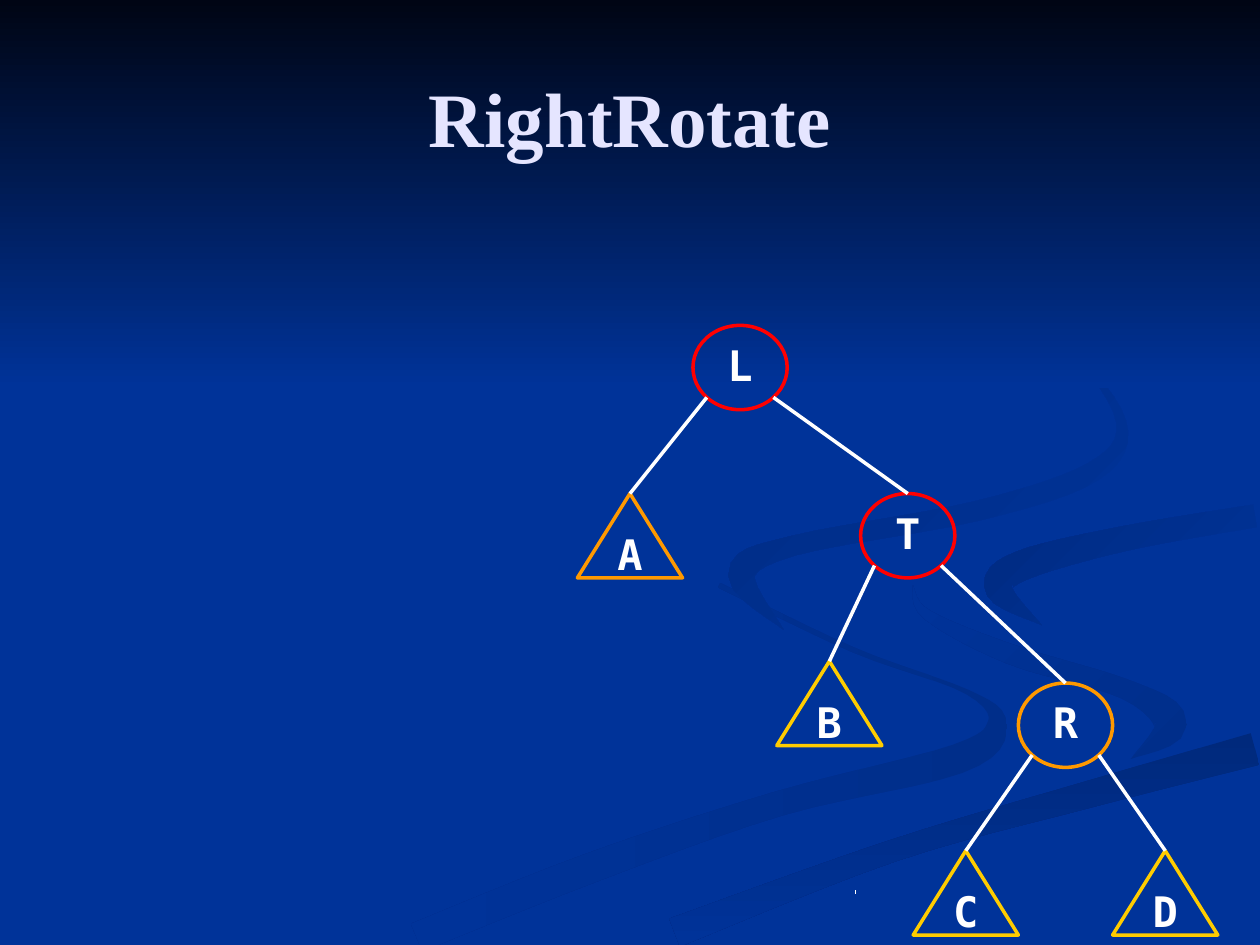
"""Builds the RightRotate slide: a binary tree on a blue background with waves."""
from dataclasses import dataclass
from math import hypot, sqrt

from lxml import etree
from pptx import Presentation
from pptx.dml.color import RGBColor
from pptx.enum.shapes import MSO_CONNECTOR, MSO_SHAPE
from pptx.enum.text import MSO_ANCHOR, PP_ALIGN
from pptx.oxml.ns import qn
from pptx.util import Cm, Pt

STRAIGHT = MSO_CONNECTOR.STRAIGHT
OVAL = MSO_SHAPE.OVAL
TRIANGLE = MSO_SHAPE.ISOSCELES_TRIANGLE
RECTANGLE = MSO_SHAPE.RECTANGLE
MIDDLE = MSO_ANCHOR.MIDDLE
CENTER = PP_ALIGN.CENTER


@dataclass(frozen=True)
class Theme:
    blue: str = "003399"
    night: str = "000514"
    shade: str = "002E8A"
    deep: str = "00297C"
    dusk: str = "002B81"
    title: str = "E5E5FF"
    white: str = "FFFFFF"
    red: str = "FF0000"
    orange: str = "FF9900"
    yellow: str = "FFCC00"
    title_font: str = "Times New Roman"
    node_font: str = "DejaVu Sans Mono"
    title_size: int = 44
    node_size: int = 24
    line_width: int = 2


theme = Theme()


def paint_gradient(sp, start, end, angle):
    sp.shadow.inherit = False
    sp.line.fill.background()
    sp.fill.gradient()
    sp.fill.gradient_angle = angle
    for stop, color, position in zip(sp.fill.gradient_stops, (start, end), (0, 1)):
        stop.color.rgb = RGBColor.from_string(color)
        stop.position = position


def add_edge(begin, end):
    line = s.shapes.add_connector(STRAIGHT, *(Cm(v) for v in begin + end))
    line.line.color.rgb = RGBColor.from_string(theme.white)
    line.line.width = Pt(theme.line_width)
    etree.SubElement(line.element.spPr, qn("a:effectLst"))
    return line


prs = Presentation()
prs.slide_width = Cm(25.4)
prs.slide_height = Cm(19.05)
s = prs.slides.add_slide(prs.slide_layouts[5])
s.background.fill.solid()
s.background.fill.fore_color.rgb = RGBColor.from_string(theme.blue)

waves = [
    (theme.shade, theme.blue, 180, [
        (8.4, 18.9, 0.3), (11.9, 17.5, 0.3), (15.7, 16.2, 0.25), (19.3, 15.3, 0.3),
        (20.1, 14.6, 0.2), (19.5, 13.95, 0.05), (17.2, 13.1, 0.05), (14.5, 11.8, 0.05)]),
    (theme.shade, theme.blue, 135, [
        (18.4, 11.8, 0), (18.7, 12.4, 0.1), (20.4, 13.2, 0.2), (22.7, 13.9, 0.2),
        (23.6, 14.6, 0.33), (22.8, 15.3, 0)]),
    (theme.deep, theme.blue, 270, [
        (13.6, 18.8, 0.3), (18, 17.15, 0.22), (22, 16, 0.27), (25.3, 15.1, 0.33)]),
    (theme.blue, theme.dusk, 135, [
        (25.3, 10.4, 0.23), (22.7, 10.85, 0.25), (20.6, 11.4, 0.3),
        (20.15, 11.9, 0.27), (21, 12.6, 0)]),
    (theme.blue, theme.dusk, 135, [
        (19.35, 5.9, 0), (21.5, 7.05, 0.03), (22.6, 8.5, 0.1), (22.05, 9.5, 0.2),
        (19.7, 10.3, 0.2), (16, 11, 0.2), (14.95, 11.6, 0.27), (15.8, 12.7, 0)]),
]
steps = 6
for start, end, angle, knots in waves:
    padded = [knots[0], *knots, knots[-1]]
    curve = []
    for a, b, c, d in zip(padded, padded[1:], padded[2:], padded[3:]):
        for t in (i / steps for i in range(steps)):
            curve.append([
                q + t * (r - o + t * (2 * o - 5 * q + 4 * r - u + t * (3 * (q - r) + u - o))) / 2
                for o, q, r, u in zip(a, b, c, d)])
    curve.append(knots[-1])
    left, right = [], []
    for before, (x, y, half), after in zip(curve[:1] + curve, curve, curve[1:] + curve[-1:]):
        dx, dy = after[0] - before[0], after[1] - before[1]
        scale = half / hypot(dx, dy)
        left.append((Cm(x - dy * scale), Cm(y + dx * scale)))
        right.append((Cm(x + dy * scale), Cm(y - dx * scale)))
    outline = left + right[::-1]
    builder = s.shapes.build_freeform(*outline[0])
    builder.add_line_segments(outline[1:], close=True)
    paint_gradient(builder.convert_to_shape(), start, end, angle)

sky = s.shapes.add_shape(RECTANGLE, 0, 0, prs.slide_width, Cm(7.82))
paint_gradient(sky, theme.night, theme.blue, 270)

title = s.shapes.title
title.element.getparent().append(title.element)
title.left, title.top, title.width, title.height = Cm(1.27), Cm(0.76), Cm(22.86), Cm(3.18)
tf = title.text_frame
tf.text = "RightRotate"
tf.vertical_anchor = MIDDLE
p = tf.paragraphs[0]
p.alignment = CENTER
p.font.name = theme.title_font
p.font.size = Pt(theme.title_size)
p.font.bold = True
p.font.color.rgb = RGBColor.from_string(theme.title)

widths = {OVAL: 1.9, TRIANGLE: 2.12}
height = 1.7
nodes = {
    "L": (OVAL, 14.92, 7.41, theme.red),
    "T": (OVAL, 18.3, 10.8, theme.red),
    "R": (OVAL, 21.48, 14.62, theme.orange),
    "A": (TRIANGLE, 12.7, 10.8, theme.orange),
    "B": (TRIANGLE, 16.72, 14.18, theme.yellow),
    "C": (TRIANGLE, 19.47, 18, theme.yellow),
    "D": (TRIANGLE, 23.49, 18, theme.yellow),
}
shapes = {}
for name, (kind, x, y, color) in nodes.items():
    width = widths[kind]
    sp = s.shapes.add_shape(kind, Cm(x - width / 2), Cm(y - height / 2), Cm(width), Cm(height))
    sp.shadow.inherit = False
    sp.fill.background()
    sp.line.color.rgb = RGBColor.from_string(color)
    sp.line.width = Pt(theme.line_width)
    tf = sp.text_frame
    tf.text = name
    tf.word_wrap = False
    tf.vertical_anchor = MIDDLE
    p = tf.paragraphs[0]
    p.alignment = CENTER
    p.line_spacing = 0.9
    p.font.name = theme.node_font
    p.font.size = Pt(theme.node_size)
    p.font.bold = True
    p.font.color.rgb = RGBColor.from_string(theme.white)
    shapes[name] = sp

children = {"L": "AT", "T": "BR", "R": "CD"}
for parent, pair in children.items():
    kind, x, y, color = nodes[parent]
    for side, child in zip((-1, 1), pair):
        begin = (x + side * widths[OVAL] / sqrt(8), y + height / sqrt(8))
        edge = add_edge(begin, nodes[child][1:3])
        edge.end_connect(shapes[child], 0)

add_edge((17.24, 17.98), (17.25, 17.98))

prs.save("out.pptx")
